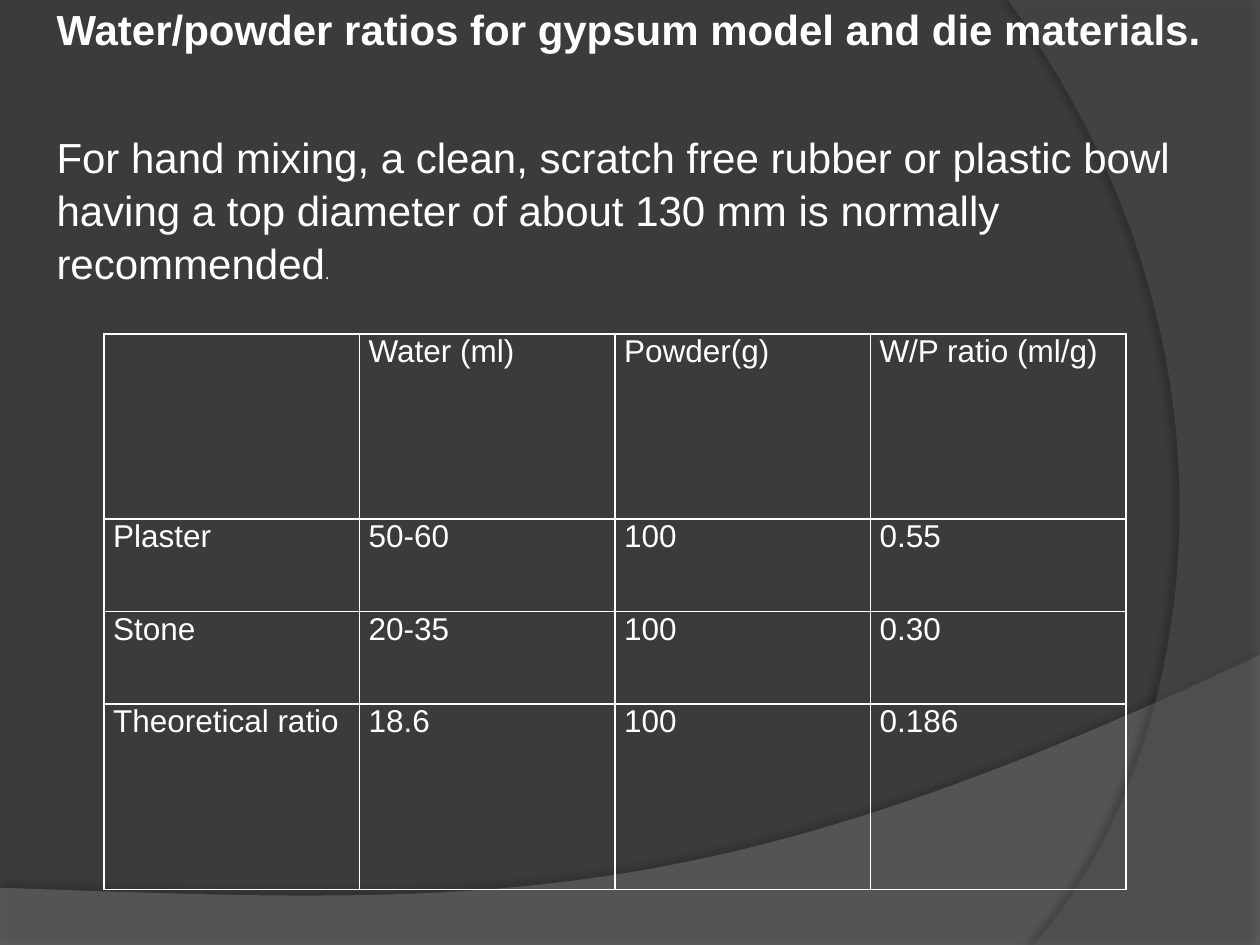
from lxml import etree
from pptx import Presentation
from pptx.dml.color import RGBColor
from pptx.enum import text
from pptx.oxml import ns
from pptx.util import Cm, Pt

COLORS = {
    "background": "3B3B3B",
    "wave": "7F7F7F",
    "side": "5E5E5E",
    "shadow": "000000",
    "ink": "FFFFFF",
}
TITLE = "Water/powder ratios for gypsum model and die materials."
ADVICE = (
    "For hand mixing, a clean, scratch free rubber or plastic bowl having "
    "a top diameter of about 130 mm is normally recommended"
)
RATIOS = [
    ["", "Water (ml)", "Powder(g)", "W/P ratio (ml/g)"],
    ["Plaster", "50-60", "100", "0.55"],
    ["Stone", "20-35", "100", "0.30"],
    ["Theoretical ratio", "18.6", "100", "0.186"],
]


def rgb(name):
    """Return the named palette colour."""
    return RGBColor.from_string(COLORS[name])


def add_node(parent, tag, **attributes):
    """Append a DrawingML element with the given attributes."""
    node = etree.SubElement(parent, ns.qn(tag))
    for key, value in attributes.items():
        node.set(key, str(value))
    return node


def style_font(font, size, bold=False):
    """Apply the slide's typeface and text colour."""
    font.name, font.size, font.bold = "Arial", Pt(size), bold
    font.color.rgb = rgb("ink")


def curve(start, first, second, end, steps=60):
    """Sample a cubic Bezier curve as a list of points."""
    points = []
    for step in range(steps + 1):
        t = step / steps
        weights = ((1 - t) ** 3, 3 * t * (1 - t) ** 2, 3 * t**2 * (1 - t), t**3)
        points.append(tuple(
            sum(w * p[axis] for w, p in zip(weights, (start, first, second, end)))
            for axis in (0, 1)
        ))
    return points


def add_swoosh(slide, box, outline, color, opacity, shade, distance, angle):
    """Draw a translucent curved band whose outline is in fractions of its box."""
    left, top, width, height = box
    points = [(Cm(left + x * width), Cm(top + y * height)) for x, y in outline]
    builder = slide.shapes.build_freeform(*points[0], scale=1.0)
    builder.add_line_segments(points[1:], close=True)
    band = builder.convert_to_shape()
    band.fill.solid()
    band.fill.fore_color.rgb = rgb(color)
    band.line.fill.background()
    band.shadow.inherit = False
    properties = band.element.spPr
    fill = properties.find(ns.qn("a:solidFill"))
    add_node(fill[0], "a:alpha", val=opacity * 1000)
    effects = properties.find(ns.qn("a:effectLst"))
    shadow = add_node(effects, "a:outerShdw", blurRad=Pt(4), dist=Pt(distance),
                      dir=angle * 60000, algn="ctr", rotWithShape=0)
    tint = add_node(shadow, "a:srgbClr", val=COLORS["shadow"])
    add_node(tint, "a:alpha", val=shade * 1000)


def add_backdrop(slide, width, height):
    """Fill the slide and lay the two curved bands over it."""
    slide.background.fill.solid()
    slide.background.fill.fore_color.rgb = rgb("background")
    wave = [(0, 0.8), (0, 1), (1, 1)]
    wave += curve((1, 0), (0.56, 0.9), (0.39, 0.86), (0, 0.8))
    add_swoosh(slide, (0, 13.2, width, 5.87), wave, "wave", 45, 35, 3.5, 270)
    side = [(1, 0), (1, 1)]
    side += curve((0.1, 1), (0.68, 0.83), (1.09, 0.4), (0, 0))
    add_swoosh(slide, (20.32, 0, 5.08, height), side, "side", 40, 45, 4, 180)


def add_border(cell):
    """Outline a cell on all four sides."""
    properties = cell._tc.get_or_add_tcPr()
    for position, tag in enumerate(("a:lnL", "a:lnR", "a:lnT", "a:lnB")):
        line = add_node(properties, tag, w=Pt(1))
        fill = add_node(line, "a:solidFill")
        add_node(fill, "a:srgbClr", val=COLORS["ink"])
        properties.insert(position, line)


def add_ratio_table(slide, left, top, width, height):
    """Tabulate water, powder and ratio, with tall first and last rows."""
    shares = (2, 1, 1, 2)
    table = slide.shapes.add_table(
        len(RATIOS), len(RATIOS[0]), Cm(left), Cm(top), Cm(width), Cm(height)
    ).table
    table.first_row = table.horz_banding = False
    for row, share, values in zip(table.rows, shares, RATIOS):
        row.height = Cm(height * share / sum(shares))
        for cell, value in zip(row.cells, values):
            cell.text = value
            cell.margin_left = cell.margin_right = Cm(0.18)
            cell.margin_top = cell.margin_bottom = 0
            cell.fill.background()
            style_font(cell.text_frame.paragraphs[0].font, 18)
            add_border(cell)


def add_introduction(slide, left, top, width, height):
    """Write the heading and the mixing advice below it."""
    frame = slide.shapes.add_textbox(
        Cm(left), Cm(top), Cm(width), Cm(height)
    ).text_frame
    frame.word_wrap = True
    frame.auto_size = text.MSO_AUTO_SIZE.NONE
    heading = frame.paragraphs[0]
    heading.text = TITLE
    style_font(heading.font, 24, bold=True)
    advice = frame.add_paragraph()
    advice.space_before = Pt(43)
    style_font(advice.font, 24)
    advice.add_run().text = ADVICE
    stop = advice.add_run()
    stop.text = "."
    stop.font.size = Pt(10)
    for paragraph in frame.paragraphs:
        paragraph.line_spacing = 1.05


def main():
    """Build and save the slide."""
    width, height = 25.4, 19.05
    deck = Presentation()
    deck.slide_width, deck.slide_height = Cm(width), Cm(height)
    slide = deck.slides.add_slide(deck.slide_layouts[6])
    add_backdrop(slide, width, height)
    add_ratio_table(slide, 2.1, 6.73, 20.6, 11.2)
    add_introduction(slide, 0.89, -0.1, 23.8, 6.15)
    deck.save("out.pptx")


if __name__ == "__main__":
    main()
